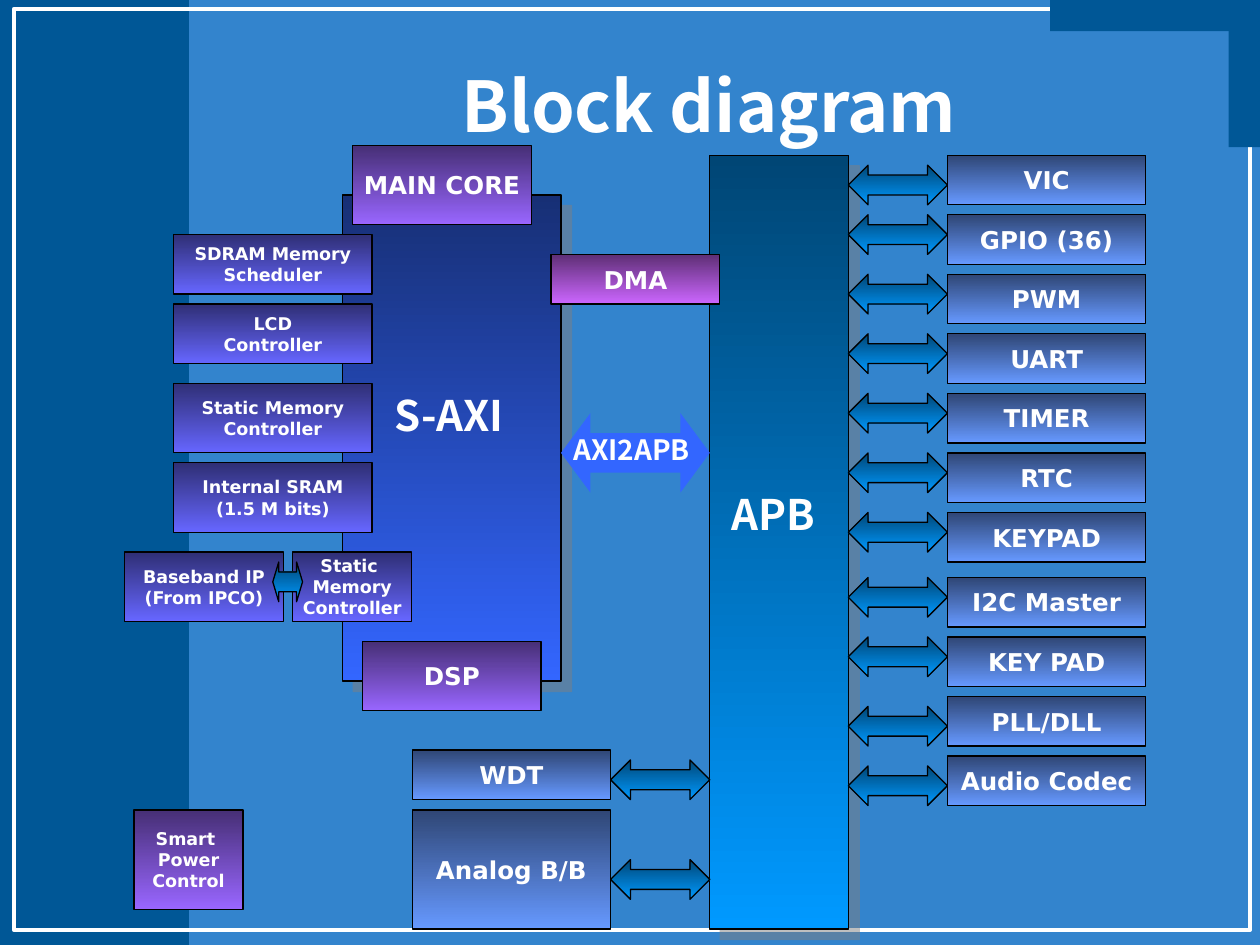
import lxml.etree
import pptx
import pptx.dml.color
import pptx.enum.shapes
import pptx.enum.text
import pptx.oxml.ns
import pptx.util

Cm = pptx.util.Cm
Pt = pptx.util.Pt
RGBColor = pptx.dml.color.RGBColor
MSO_SHAPE = pptx.enum.shapes.MSO_SHAPE
MSO_ANCHOR = pptx.enum.text.MSO_ANCHOR
PP_ALIGN = pptx.enum.text.PP_ALIGN
qn = pptx.oxml.ns.qn

WHITE = RGBColor(0xFF, 0xFF, 0xFF)
BLACK = RGBColor(0x00, 0x00, 0x00)
SKY = RGBColor(0x33, 0x84, 0xCD)
NAVY = RGBColor(0x00, 0x57, 0x96)
ROYAL = RGBColor(0x33, 0x66, 0xFF)

# Vertical gradients: top colour, bottom colour
BUS_APB = (RGBColor(0x00, 0x46, 0x75), RGBColor(0x00, 0x99, 0xFF))
BUS_AXI = (RGBColor(0x17, 0x2F, 0x75), ROYAL)
CORE = (RGBColor(0x46, 0x2F, 0x75), RGBColor(0x99, 0x66, 0xFF))
MEMORY = (RGBColor(0x2F, 0x2F, 0x75), RGBColor(0x66, 0x66, 0xFF))
TRANSFER = (RGBColor(0x5E, 0x2F, 0x75), RGBColor(0xCC, 0x66, 0xFF))
PERIPHERAL = (RGBColor(0x2F, 0x46, 0x75), RGBColor(0x66, 0x99, 0xFF))

HEADING_FONT = "Noto Sans CJK KR"
BLOCK_FONT = "DejaVu Sans"


def write(tf, text, font=BLOCK_FONT, size=14, align=PP_ALIGN.CENTER,
          anchor=MSO_ANCHOR.MIDDLE, wrap=False):
    """Fill a text frame, one paragraph for each line of text."""
    tf.word_wrap = wrap
    tf.auto_size = pptx.enum.text.MSO_AUTO_SIZE.NONE
    tf.vertical_anchor = anchor
    for i, line in enumerate(text.split("\n")):
        p = tf.add_paragraph() if i else tf.paragraphs[0]
        p.alignment = align
        r = p.add_run()
        r.text = line
        r.font.name = font
        r.font.size = Pt(size)
        r.font.bold = True
        r.font.color.rgb = WHITE


class Diagram:
    line_width = 0.75

    def __init__(self, slide):
        self.s = slide

    def shape(self, kind, x, y, w, h, fill=None, line=None, width=line_width):
        """Add a preset shape; fill is a colour, a gradient pair or None."""
        sp = self.s.shapes.add_shape(kind, Cm(x), Cm(y), Cm(w), Cm(h))
        sp.shadow.inherit = False
        if fill is None:
            sp.fill.background()
        elif isinstance(fill, RGBColor):
            sp.fill.solid()
            sp.fill.fore_color.rgb = fill
        else:
            sp.fill.gradient()
            sp.fill.gradient_angle = 270  # counter-clockwise: top to bottom
            for stop, color in zip(sp.fill.gradient_stops, fill):
                stop.color.rgb = color
        if line is None:
            sp.line.fill.background()
        else:
            sp.line.color.rgb = line
            sp.line.width = Pt(width)
        return sp

    def panel(self, x, y, w, h, **style):
        return self.shape(MSO_SHAPE.RECTANGLE, x, y, w, h, **style)

    def bus(self, x, y, w, h, fill):
        """Add a tall bar with a soft grey offset shadow."""
        sp = self.panel(x, y, w, h, fill=fill, line=BLACK)
        effects = sp._element.spPr.find(qn("a:effectLst"))
        shadow = lxml.etree.SubElement(effects, qn("a:outerShdw"), dist=str(Pt(8.5)),
                                       dir="2700000", algn="ctr", rotWithShape="0")
        color = lxml.etree.SubElement(shadow, qn("a:srgbClr"), val="808080")
        lxml.etree.SubElement(color, qn("a:alpha"), val="50000")

    def block(self, text, x, y, w, h, fill, size=14):
        sp = self.panel(x, y, w, h, fill=fill, line=BLACK)
        write(sp.text_frame, text, size=size)

    def arrow(self, x, y, w=2, h=0.8, head=0.5, fill=BUS_APB, line=BLACK):
        sp = self.shape(MSO_SHAPE.LEFT_RIGHT_ARROW, x, y, w, h, fill=fill, line=line)
        sp.adjustments[0] = 0.5
        sp.adjustments[1] = head

    def label(self, text, x, y, w, h, size):
        tb = self.s.shapes.add_textbox(Cm(x), Cm(y), Cm(w), Cm(h))
        write(tb.text_frame, text, font=HEADING_FONT, size=size,
              align=PP_ALIGN.LEFT, anchor=MSO_ANCHOR.TOP, wrap=True)

    def title(self, text, x, y, w, h):
        sp = self.s.shapes.title
        sp.left, sp.top, sp.width, sp.height = Cm(x), Cm(y), Cm(w), Cm(h)
        write(sp.text_frame, text, font=HEADING_FONT, size=40, wrap=True)


def main():
    prs = pptx.Presentation()
    prs.slide_width, prs.slide_height = Cm(25.4), Cm(19.05)
    s = prs.slides.add_slide(prs.slide_layouts[5])
    s.background.fill.solid()
    s.background.fill.fore_color.rgb = SKY
    d = Diagram(s)

    # Backdrop
    d.panel(0, 0, 3.81, 19.05, fill=NAVY)
    d.panel(0.28, 0.18, 24.92, 18.57, line=WHITE, width=2.25)
    d.panel(21.17, 0, 4.23, 0.63, fill=NAVY)
    d.panel(24.77, 0, 0.63, 2.97, fill=NAVY)
    d.title("Block diagram", 3.81, 0.84, 20.96, 2.54)

    # Buses and cores
    d.bus(14.31, 3.13, 2.8, 15.6, BUS_APB)
    d.bus(6.91, 3.93, 4.4, 9.8, BUS_AXI)
    d.block("MAIN CORE", 7.11, 2.93, 3.6, 1.6, CORE)
    d.block("DSP", 7.31, 12.93, 3.6, 1.4, CORE)
    d.block("Smart \nPower\nControl", 2.7, 16.33, 2.2, 2, CORE, size=10)
    d.block("DMA", 11.11, 5.13, 3.4, 1, TRANSFER)

    # Memory side
    for text, x, y, w, h in (
        ("SDRAM Memory\nScheduler", 3.5, 4.73, 4, 1.2),
        ("LCD\nController", 3.5, 6.13, 4, 1.2),
        ("Static Memory\nController", 3.5, 7.73, 4, 1.4),
        ("Internal SRAM\n(1.5 M bits)", 3.5, 9.33, 4, 1.4),
        ("Baseband IP\n(From IPCO)", 2.51, 11.13, 3.2, 1.4),
        ("Static \nMemory\nController", 5.9, 11.13, 2.4, 1.4),
    ):
        d.block(text, x, y, w, h, MEMORY, size=10)
    d.arrow(5.5, 11.33, w=0.6, head=0.2)

    # Peripherals right of the APB: two stacks, each with its arrow drops
    pitch = 1.2
    for top, rows in (
        (3.13, (("VIC", 0.2), ("GPIO (36)", 0), ("PWM", 0), ("UART", 0),
                ("TIMER", 0), ("RTC", 0), ("KEYPAD", 0))),
        (11.64, (("I2C Master", 0), ("KEY PAD", 0), ("PLL/DLL", 0.2),
                 ("Audio Codec", 0.2))),
    ):
        for i, (text, drop) in enumerate(rows):
            y = top + i * pitch
            d.block(text, 19.1, y, 4, 1, PERIPHERAL)
            d.arrow(17.1, y + drop)

    # Peripherals left of the APB
    for text, y, h, drop in (("WDT", 15.12, 1, 0.2), ("Analog B/B", 16.33, 2.4, 1)):
        d.block(text, 8.31, y, 4, h, PERIPHERAL)
        d.arrow(12.31, y + drop)

    # Bridge and bus names
    d.arrow(11.31, 8.33, w=3, h=1.6, head=0.37, fill=ROYAL, line=None)
    d.label("S-AXI", 7.7, 7.73, 3.4, 1.27, size=24)
    d.label("APB", 14.5, 9.73, 3.4, 1.27, size=24)
    d.label("AXI2APB", 11.31, 8.59, 3.4, 0.94, size=16)

    prs.save("out.pptx")


if __name__ == "__main__":
    main()
